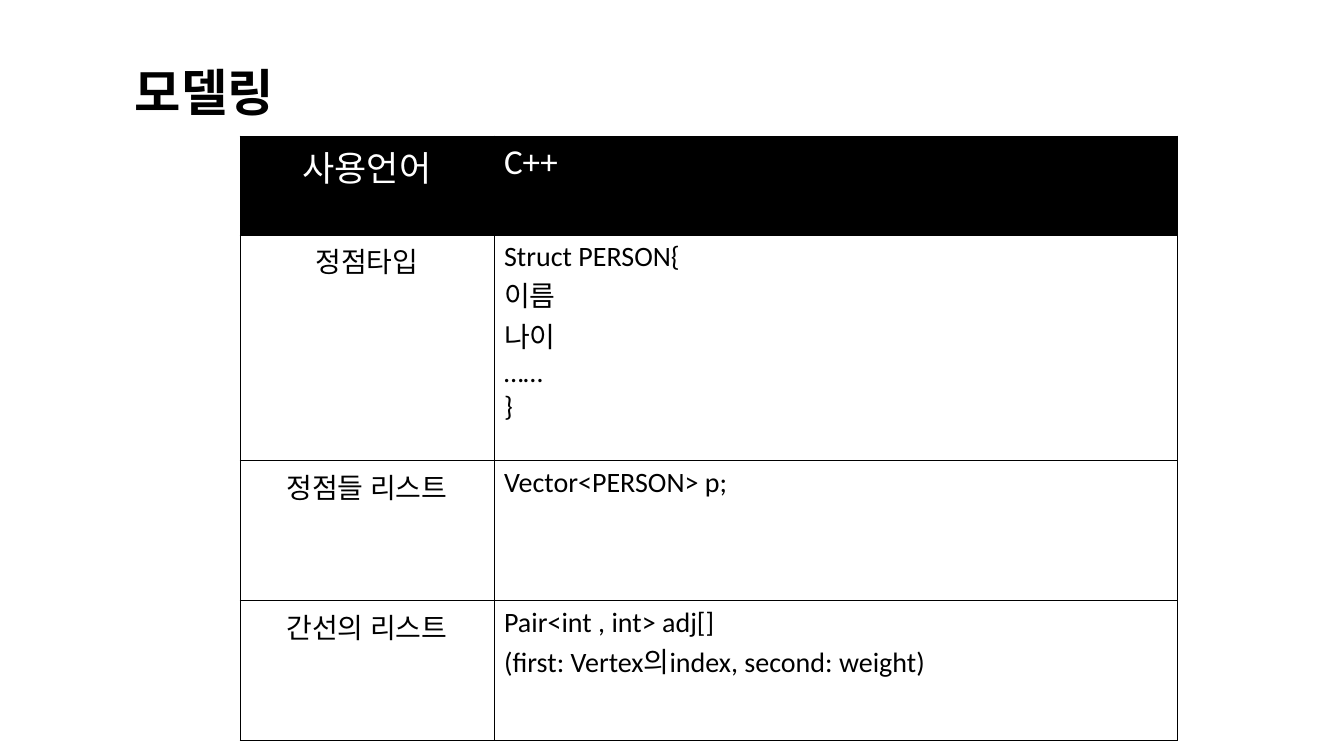
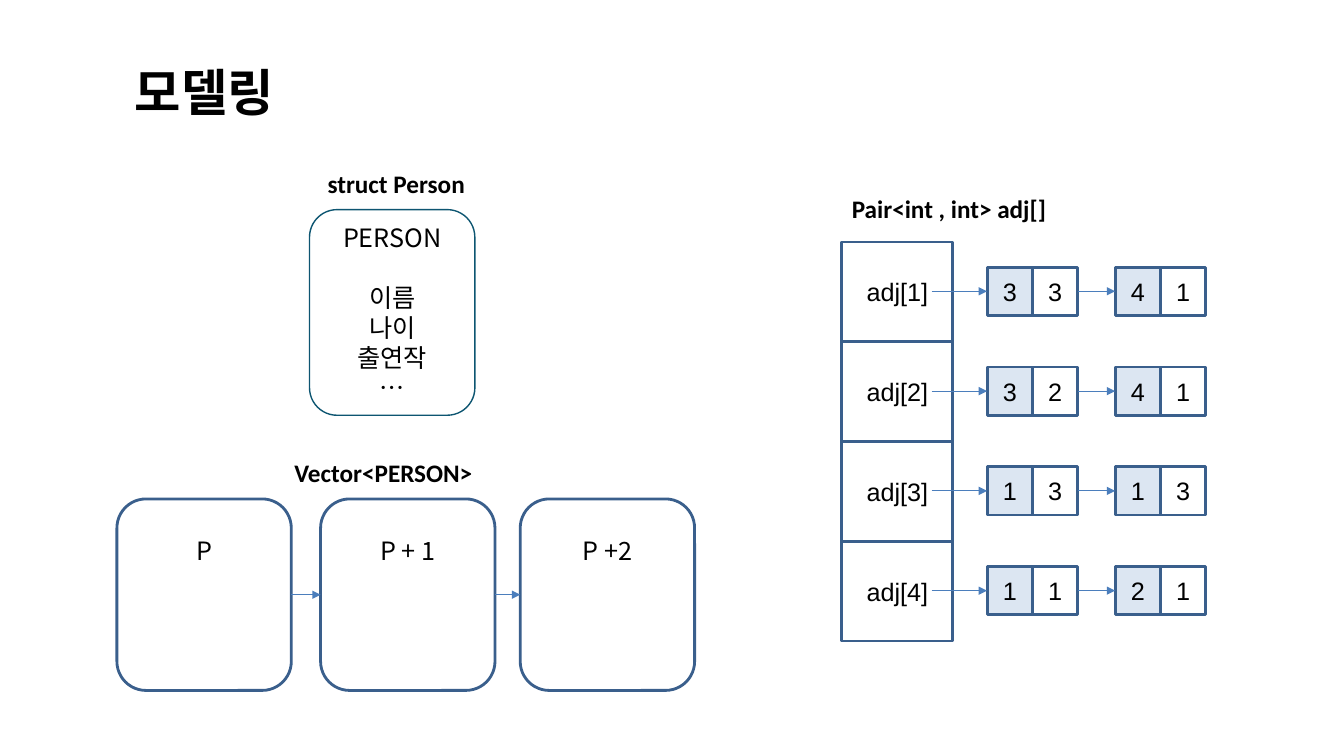
import pptx
import pptx.dml.color
import pptx.enum.shapes
import pptx.enum.text
import pptx.oxml
import pptx.oxml.ns
import pptx.util

RGBColor = pptx.dml.color.RGBColor
SHAPE = pptx.enum.shapes.MSO_SHAPE
ANCHOR = pptx.enum.text.MSO_ANCHOR
ALIGN = pptx.enum.text.PP_ALIGN
Pt = pptx.util.Pt

BLACK = RGBColor(0x00, 0x00, 0x00)
WHITE = RGBColor(0xFF, 0xFF, 0xFF)
NAVY = RGBColor(0x3A, 0x5F, 0x8C)
BLUE = RGBColor(0x4B, 0x7E, 0xBC)
PALE = RGBColor(0xDC, 0xE6, 0xF2)
TEAL = RGBColor(0x0D, 0x55, 0x71)
KOREAN = "Noto Sans CJK KR"
LATIN = "Calibri"
PLAIN = "Arial"
EMU_PER_PX = 9144

TABLE_ROWS = [
    (98, "사용언어", ["C++"]),
    (224, "정점타입", ["Struct PERSON{", "이름", "나이", "……", "}"]),
    (139, "정점들 리스트", ["Vector<PERSON> p;"]),
    (139, "간선의 리스트",
     ["Pair<int , int> adj[]", "(first: Vertex의index, second: weight)"]),
]
ADJACENCY = [
    [(3, 3), (4, 1)],
    [(3, 2), (4, 1)],
    [(1, 3), (1, 3)],
    [(1, 1), (2, 1)],
]


def px(n):
    return pptx.util.Emu(n * EMU_PER_PX)


def box(x, y, w, h):
    return px(x), px(y), px(w), px(h)


def xml(tag, attrs="", inner=""):
    ns = pptx.oxml.ns.nsdecls("a")
    return pptx.oxml.parse_xml(f"<a:{tag} {ns} {attrs}>{inner}</a:{tag}>")


def write(tf, lines, size=18, font=LATIN, color=BLACK, bold=False,
          align=ALIGN.LEFT, anchor=ANCHOR.TOP, spacing=None):
    tf.word_wrap = True
    tf.vertical_anchor = anchor
    for i, line in enumerate(lines):
        p = tf.add_paragraph() if i else tf.paragraphs[0]
        p.alignment = align
        p.line_spacing = spacing
        r = p.add_run()
        r.text = line
        r.font.size = Pt(size)
        r.font.bold = bold
        r.font.color.rgb = color
        r.font.name = font
        r.font._element.find(pptx.oxml.ns.qn("a:latin")).addnext(
            xml("ea", f'typeface="{KOREAN}"'))


def add_text(s, bounds, text, **fmt):
    sp = s.shapes.add_textbox(*box(*bounds))
    write(sp.text_frame, [text], **fmt)


def add_title(s, text):
    add_text(s, (124, 57, 697, 75), text, size=36, font=KOREAN, bold=True,
             anchor=ANCHOR.MIDDLE, spacing=0.9)


def add_box(s, bounds, lines, kind=SHAPE.RECTANGLE, fill=WHITE, line=NAVY,
            width=2, font=PLAIN, anchor=ANCHOR.MIDDLE, spacing=None):
    sp = s.shapes.add_shape(kind, *box(*bounds))
    sp.shadow.inherit = False
    sp.fill.solid()
    sp.fill.fore_color.rgb = fill
    sp.line.color.rgb = line
    sp.line.width = Pt(width)
    write(sp.text_frame, lines, font=font, align=ALIGN.CENTER, anchor=anchor,
          spacing=spacing)
    return sp


def add_card(s, bounds, lines, **fmt):
    return add_box(s, bounds, lines, kind=SHAPE.ROUNDED_RECTANGLE,
                   font=KOREAN, spacing=Pt(21.5), **fmt)


def add_arrow(s, target, source=None, start=(0, 0)):
    x, y = start
    c = s.shapes.add_connector(pptx.enum.shapes.MSO_CONNECTOR.STRAIGHT,
                               px(x), px(y), target.left, px(y))
    if source is not None:
        c.begin_connect(source, 3)
    c.end_connect(target, 1)
    c.line.color.rgb = BLUE
    c.line.width = Pt(0.75)
    c.line._get_or_add_ln().append(xml("tailEnd", 'type="triangle"'))
    c._element.spPr.append(xml("effectLst"))


def fill_cell(cell, lines, fill, **fmt):
    cell.fill.solid()
    cell.fill.fore_color.rgb = fill
    write(cell.text_frame, lines, **{**fmt, "anchor": ANCHOR.TOP})
    tc_pr = cell._tc.get_or_add_tcPr()
    for i, side in enumerate("LRTB"):
        stroke = f'<a:solidFill><a:srgbClr val="{BLACK}"/></a:solidFill>'
        tc_pr.insert(i, xml(f"ln{side}", f'w="{Pt(0.6)}"', stroke))


def add_model_table(s):
    height = sum(h for h, _, _ in TABLE_ROWS)
    table = s.shapes.add_table(len(TABLE_ROWS), 2,
                               *box(238, 135, 930, height)).table
    table.horz_banding = False
    for column, w in zip(table.columns, (252, 678)):
        column.width = px(w)
    for i, (h, name, lines) in enumerate(TABLE_ROWS):
        table.rows[i].height = px(h)
        size, color, fill = (20, BLACK, WHITE) if i else (25, WHITE, BLACK)
        fill_cell(table.cell(i, 0), [name], fill, size=size, color=color,
                  align=ALIGN.CENTER)
        fill_cell(table.cell(i, 1), lines, fill, size=size, color=color)


def add_pair(s, x, y, pair):
    return [add_box(s, (x + 45 * i, y, 45, 48), [str(n)], fill=fill)
            for i, (n, fill) in enumerate(zip(pair, (PALE, WHITE)))]


def add_adjacency(s):
    add_text(s, (835, 187, 219, 40), "Pair<int , int> adj[]", bold=True)
    pitch = 99
    for i, pairs in enumerate(ADJACENCY):
        y = 240 + pitch * i
        add_box(s, (835, y, 110, pitch), [f"adj[{i + 1}]"])
        source = None
        for j, pair in enumerate(pairs):
            vertex, weight = add_pair(s, 979 + 127 * j, y + 25, pair)
            add_arrow(s, vertex, source, start=(924, y + 49))
            source = weight


def add_person(s):
    add_text(s, (315, 162, 171, 40), "struct Person", bold=True)
    sp = add_card(s, (307, 208, 164, 204),
                  ["PERSON", "이름", "나이", "출연작", "…"],
                  line=TEAL, width=1)
    sp.text_frame.paragraphs[1].space_before = Pt(21.5)


def add_vector(s):
    add_text(s, (282, 449, 272, 40), "Vector<PERSON>", bold=True)
    source = None
    for x, name in ((116, "P"), (318, "P + 1"), (516, "P +2")):
        sp = add_card(s, (x, 495, 173, 190), [name], anchor=ANCHOR.TOP)
        sp.text_frame.margin_top = px(28)
        if source is not None:
            add_arrow(s, sp, source)
        source = sp


def main():
    prs = pptx.Presentation()
    prs.slide_width, prs.slide_height = px(1333), px(750)
    for parts in ([add_model_table], [add_adjacency, add_person, add_vector]):
        s = prs.slides.add_slide(prs.slide_layouts[6])
        add_title(s, "모델링")
        for add_part in parts:
            add_part(s)
    prs.save("out.pptx")


if __name__ == "__main__":
    main()
